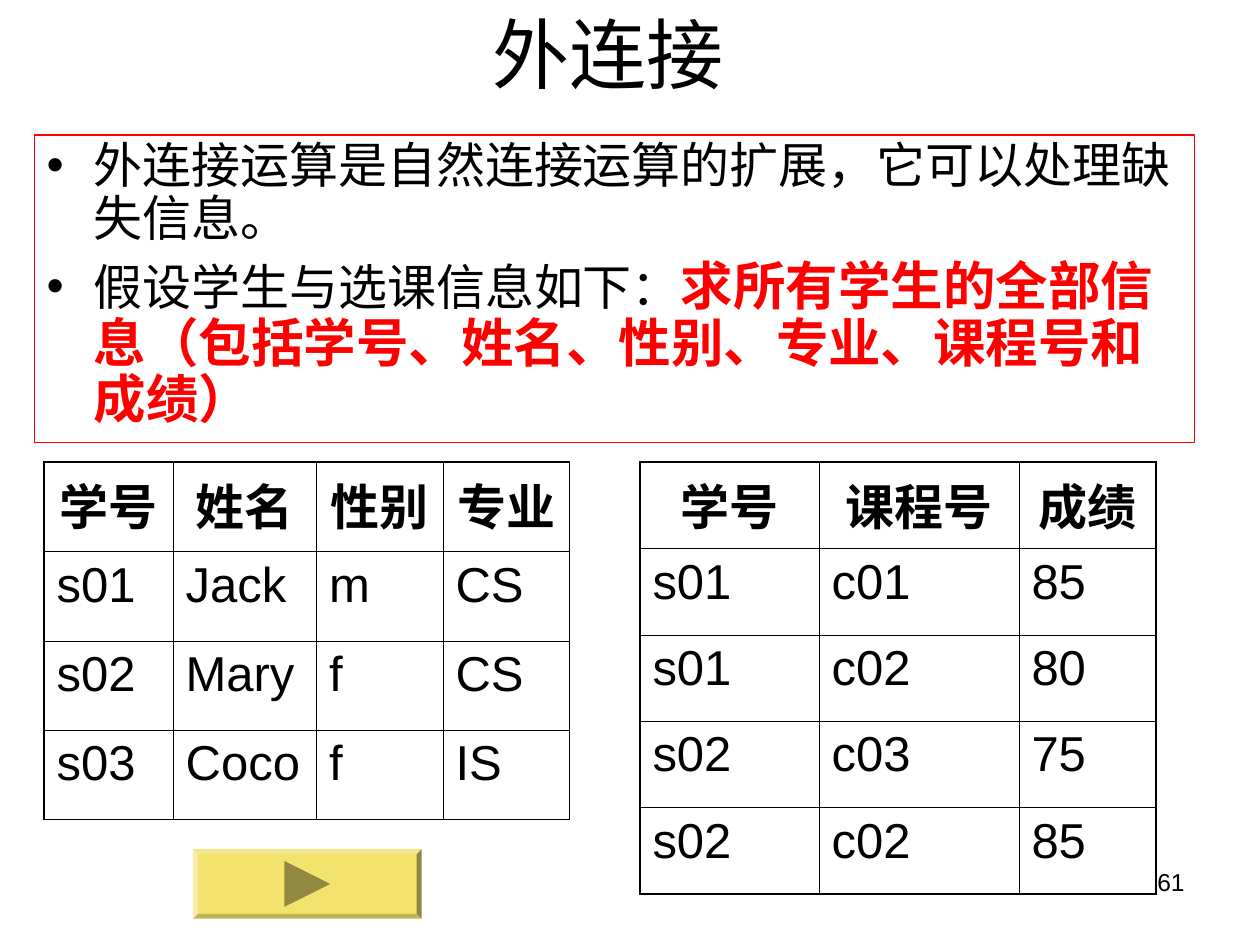
from pptx import Presentation
from pptx import util as u
from pptx.dml.color import RGBColor
from pptx.enum import shapes, text
from pptx.oxml.ns import qn
from lxml import etree

BLACK = RGBColor(0x00, 0x00, 0x00)
WHITE = RGBColor(0xFF, 0xFF, 0xFF)
RED = RGBColor(0xFF, 0x00, 0x00)
YELLOW = RGBColor(0xF2, 0xE2, 0x6E)
OLIVE = RGBColor(0x91, 0x88, 0x42)

STUDENTS = [
    ["学号", "姓名", "性别", "专业"],
    ["s01", "Jack", "m", "CS"],
    ["s02", "Mary", "f", "CS"],
    ["s03", "Coco", "f", "IS"],
]
ENROLMENTS = [
    ["学号", "课程号", "成绩"],
    ["s01", "c01", "85"],
    ["s01", "c02", "80"],
    ["s02", "c03", "75"],
    ["s02", "c02", "85"],
]


class SlideBuilder:
    font = "Arial"
    body_size = 28
    outer_line, inner_line = u.Pt(1.08), u.Pt(0.45)

    def __init__(self, page):
        self.page = page

    def add_run(self, para, words, size=body_size, color=BLACK, bold=False):
        span = para.add_run()
        span.text = words
        span.font.name = self.font
        span.font.size = u.Pt(size)
        span.font.bold = bold
        span.font.color.rgb = color

    def title(self, words, left, top, width, height):
        box = self.page.shapes.title
        box.left, box.top = u.Cm(left), u.Cm(top)
        box.width, box.height = u.Cm(width), u.Cm(height)
        frame = box.text_frame
        frame.auto_size = text.MSO_AUTO_SIZE.NONE
        frame.vertical_anchor = text.MSO_ANCHOR.MIDDLE
        para = frame.paragraphs[0]
        para.alignment = text.PP_ALIGN.CENTER
        self.add_run(para, words, 44)

    def shape(self, kind, left, top, width, height, fill):
        box = self.page.shapes.add_shape(
            kind, u.Cm(left), u.Cm(top), u.Cm(width), u.Cm(height))
        box.shadow.inherit = False
        box.fill.solid()
        box.fill.fore_color.rgb = fill
        box.line.fill.background()
        return box

    def bullet_box(self, items, left, top, width, height):
        """Draw a framed list; each item is a list of (words, style) runs."""
        box = self.shape(shapes.MSO_SHAPE.RECTANGLE, left, top, width, height, WHITE)
        box.line.color.rgb = RED
        box.line.width = u.Pt(0.75)
        frame = box.text_frame
        frame.word_wrap = True
        frame.vertical_anchor = text.MSO_ANCHOR.TOP
        for index, runs in enumerate(items):
            para = frame.add_paragraph() if index else frame.paragraphs[0]
            self.bullet(para)
            para.alignment = text.PP_ALIGN.LEFT
            para.line_spacing = 0.9
            if index:
                para.space_before = u.Pt(7.5)
            for words, style in runs:
                self.add_run(para, words, **style)

    def bullet(self, para):
        indent = u.Cm(0.95)
        properties = para._p.get_or_add_pPr()
        properties.set("marL", str(indent))
        properties.set("indent", str(-indent))
        etree.SubElement(properties, qn("a:buFont"), typeface=self.font)
        etree.SubElement(properties, qn("a:buChar"), char="•")

    def table(self, rows, left, top, widths, row_height):
        height = u.Cm(row_height)
        table = self.page.shapes.add_table(
            len(rows), len(widths), u.Cm(left), u.Cm(top),
            u.Cm(sum(widths)), height * len(rows)).table
        table.first_row = table.horz_banding = False
        for column, width in zip(table.columns, widths):
            column.width = u.Cm(width)
        for r, row in enumerate(rows):
            table.rows[r].height = height
            for c, words in enumerate(row):
                cell = table.cell(r, c)
                outer = {"L": c == 0, "R": c == len(widths) - 1,
                         "T": r == 0, "B": r == len(rows) - 1}
                self.borders(cell, outer)
                cell.fill.background()
                para = cell.text_frame.paragraphs[0]
                if r == 0:
                    para.alignment = text.PP_ALIGN.CENTER
                self.add_run(para, words, bold=r == 0)

    def borders(self, cell, outer):
        properties = cell._tc.get_or_add_tcPr()
        for side, is_outer in outer.items():
            width = self.outer_line if is_outer else self.inner_line
            line = etree.SubElement(properties, qn(f"a:ln{side}"), w=str(width))
            fill = etree.SubElement(line, qn("a:solidFill"))
            etree.SubElement(fill, qn("a:srgbClr"), val=str(BLACK))

    def next_button(self, left, top, width, height):
        """Draw a bevelled button with a right-pointing triangle at its centre."""
        button = self.shape(shapes.MSO_SHAPE.BEVEL, left, top, width, height, YELLOW)
        button.adjustments[0] = 0.07
        side = 0.92
        arrow = self.shape(shapes.MSO_SHAPE.ISOSCELES_TRIANGLE,
                           left + (width - side) / 2, top + (height - side) / 2,
                           side, side, OLIVE)
        arrow.rotation = 90

    def page_number(self, words, left, top, width, height):
        box = self.page.shapes.add_textbox(
            u.Cm(left), u.Cm(top), u.Cm(width), u.Cm(height))
        box.text_frame.word_wrap = True
        para = box.text_frame.paragraphs[0]
        para.alignment = text.PP_ALIGN.RIGHT
        self.add_run(para, words, 14)


def main():
    deck = Presentation()
    deck.slide_width, deck.slide_height = u.Cm(25.4), u.Cm(19.05)
    builder = SlideBuilder(deck.slides.add_slide(deck.slide_layouts[5]))
    builder.page_number("61", 18.21, 17.35, 5.92, 1.32)
    builder.title("外连接", 1.5, 0, 21.51, 2.13)
    builder.bullet_box([
        [("外连接运算是自然连接运算的扩展，它可以处理缺失信息。", {})],
        [("假设学生与选课信息如下：", {}),
         ("求所有学生的全部信息（包括学号、姓名、性别、专业、课程号和成绩）",
          {"size": 30, "color": RED, "bold": True})],
    ], 0.69, 2.72, 23.39, 6.2)
    builder.table(STUDENTS, 0.89, 9.32, [2.6, 2.89, 2.55, 2.55], 1.8)
    builder.table(ENROLMENTS, 12.9, 9.32, [3.61, 4.03, 2.77], 1.74)
    builder.next_button(3.89, 17.12, 4.61, 1.4)
    deck.save("out.pptx")


if __name__ == "__main__":
    main()
